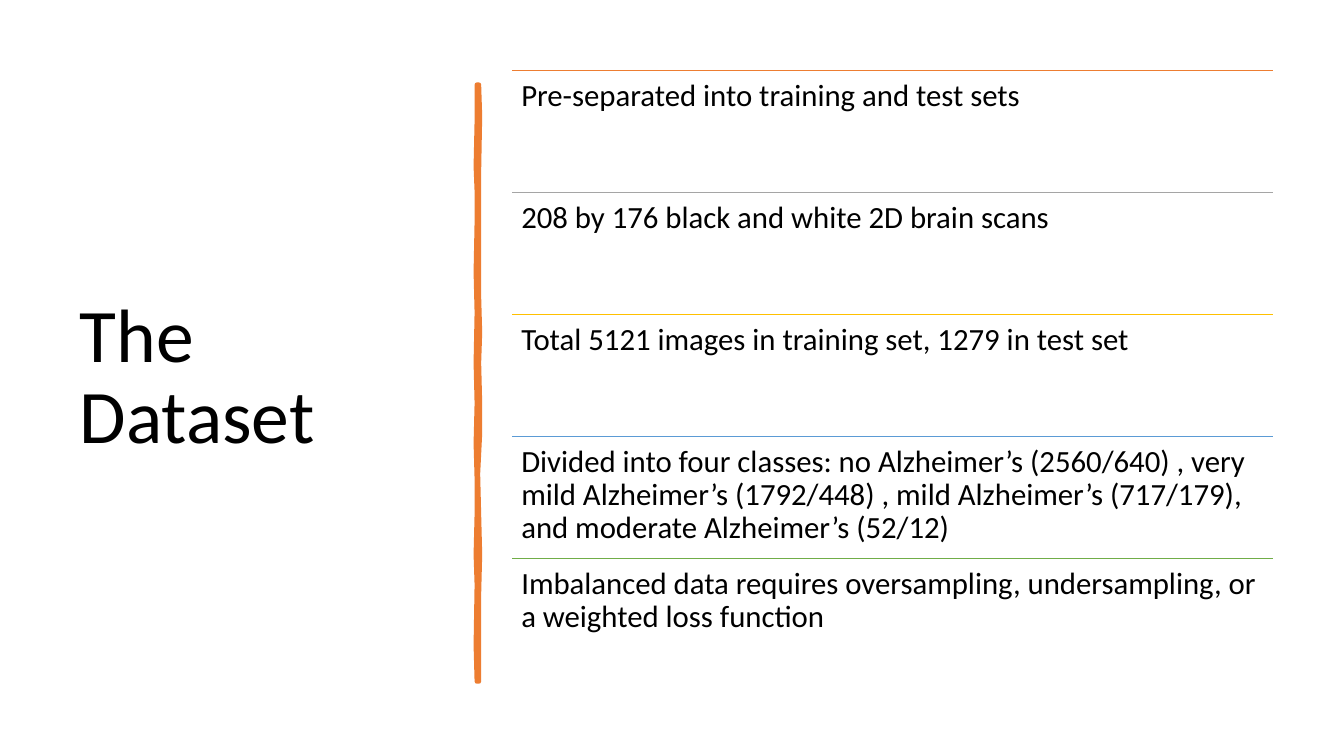
from dataclasses import dataclass

from lxml.etree import SubElement
from pptx import Presentation
from pptx.dml.color import RGBColor
from pptx.enum.shapes import MSO_CONNECTOR as Connector
from pptx.enum.text import MSO_ANCHOR as Anchor, MSO_AUTO_SIZE as AutoSize, PP_ALIGN as Align
from pptx.oxml.ns import qn
from pptx.slide import Slide
from pptx.text.text import TextFrame
from pptx.util import Inches, Pt

COLORS = {
    "text": "000000",
    "orange": "ED7D31",
    "gray": "A5A5A5",
    "gold": "FFC000",
    "blue": "5B9BD5",
    "green": "70AD47",
}
FACT_LEFT, FACT_TOP, FACT_WIDTH, FACT_HEIGHT = 5.08, 0.7, 7.55, 1.21
FRAME_FORMAT = {"word_wrap": True, "auto_size": AutoSize.NONE}
FACT_MARGINS = {
    f"margin_{side}": Inches(0.09) for side in ("left", "top", "right", "bottom")
}

# Edges of the hand-drawn divider, as (x, y) from top to bottom
DIVIDER_RIGHT = [
    (4.75, 0.84), (4.76, 1.15), (4.75, 1.7), (4.75, 2.3), (4.75, 2.94),
    (4.76, 3.3), (4.75, 3.6), (4.76, 4.0), (4.76, 4.3), (4.74, 4.7),
    (4.75, 5.1), (4.76, 5.5), (4.75, 5.9), (4.75, 6.3), (4.75, 6.76),
]
DIVIDER_LEFT = [
    (4.73, 0.84), (4.73, 1.2), (4.72, 1.65), (4.73, 1.9), (4.73, 2.2),
    (4.72, 2.7), (4.73, 3.1), (4.72, 3.6), (4.73, 4.0), (4.72, 4.4),
    (4.73, 4.75), (4.73, 5.1), (4.72, 5.5), (4.73, 5.8), (4.72, 6.4),
    (4.73, 6.76),
]


@dataclass
class Fact:
    text: str
    rule_color: str


FACTS = [
    Fact("Pre-separated into training and test sets", "orange"),
    Fact("208 by 176 black and white 2D brain scans", "gray"),
    Fact("Total 5121 images in training set, 1279 in test set", "gold"),
    Fact(
        "Divided into four classes: no Alzheimer’s (2560/640) , very mild "
        "Alzheimer’s (1792/448) , mild Alzheimer’s (717/179), and moderate "
        "Alzheimer’s (52/12)",
        "blue",
    ),
    Fact(
        "Imbalanced data requires oversampling, undersampling, or a weighted "
        "loss function",
        "green",
    ),
]


def rgb(name: str) -> RGBColor:
    return RGBColor.from_string(COLORS[name])


def apply_format(target: object, values: dict) -> None:
    for name, value in values.items():
        setattr(target, name, value)


def write_text(frame: TextFrame, text: str, size: float, frame_format: dict) -> None:
    apply_format(frame, FRAME_FORMAT | frame_format)
    paragraph = frame.paragraphs[0]
    apply_format(paragraph, {"alignment": Align.LEFT, "line_spacing": 0.9})
    run = paragraph.add_run()
    run.text = text
    apply_format(run.font, {"name": "Calibri", "size": Pt(size)})
    run.font.color.rgb = rgb("text")


def add_heading(slide: Slide, text: str) -> None:
    heading = slide.shapes.title
    apply_format(heading, {
        "left": Inches(0.69), "top": Inches(0.7),
        "width": Inches(3.74), "height": Inches(6.11),
    })
    write_text(heading.text_frame, text, 54, {"vertical_anchor": Anchor.MIDDLE})


def add_divider(slide: Slide) -> None:
    outline = [
        (Inches(x), Inches(y)) for x, y in DIVIDER_RIGHT + DIVIDER_LEFT[::-1]
    ]
    builder = slide.shapes.build_freeform(*outline[0])
    builder.add_line_segments(outline[1:], close=True)
    divider = builder.convert_to_shape()
    divider.shadow.inherit = False
    divider.fill.solid()
    divider.fill.fore_color.rgb = rgb("orange")
    divider.line.color.rgb = rgb("orange")
    divider.line.width = Pt(3.25)


def add_fact(slide: Slide, fact: Fact, top: float) -> None:
    left, y, width = Inches(FACT_LEFT), Inches(top), Inches(FACT_WIDTH)
    rule = slide.shapes.add_connector(Connector.STRAIGHT, left, y, left + width, y)
    rule.line.color.rgb = rgb(fact.rule_color)
    rule.line.width = Pt(1)
    SubElement(rule._element.spPr, qn("a:effectLst"))

    statement = slide.shapes.add_textbox(left, y, width, Inches(FACT_HEIGHT))
    write_text(statement.text_frame, fact.text, 22, FACT_MARGINS)


def main() -> None:
    deck = Presentation()
    apply_format(deck, {"slide_width": Inches(13.33), "slide_height": Inches(7.5)})
    slide = deck.slides.add_slide(deck.slide_layouts.get_by_name("Title Only"))

    # Heading and divider on the left
    add_heading(slide, "The Dataset")
    add_divider(slide)

    # Ruled facts on the right
    for row, fact in enumerate(FACTS):
        add_fact(slide, fact, FACT_TOP + row * FACT_HEIGHT)

    deck.save("out.pptx")


if __name__ == "__main__":
    main()
